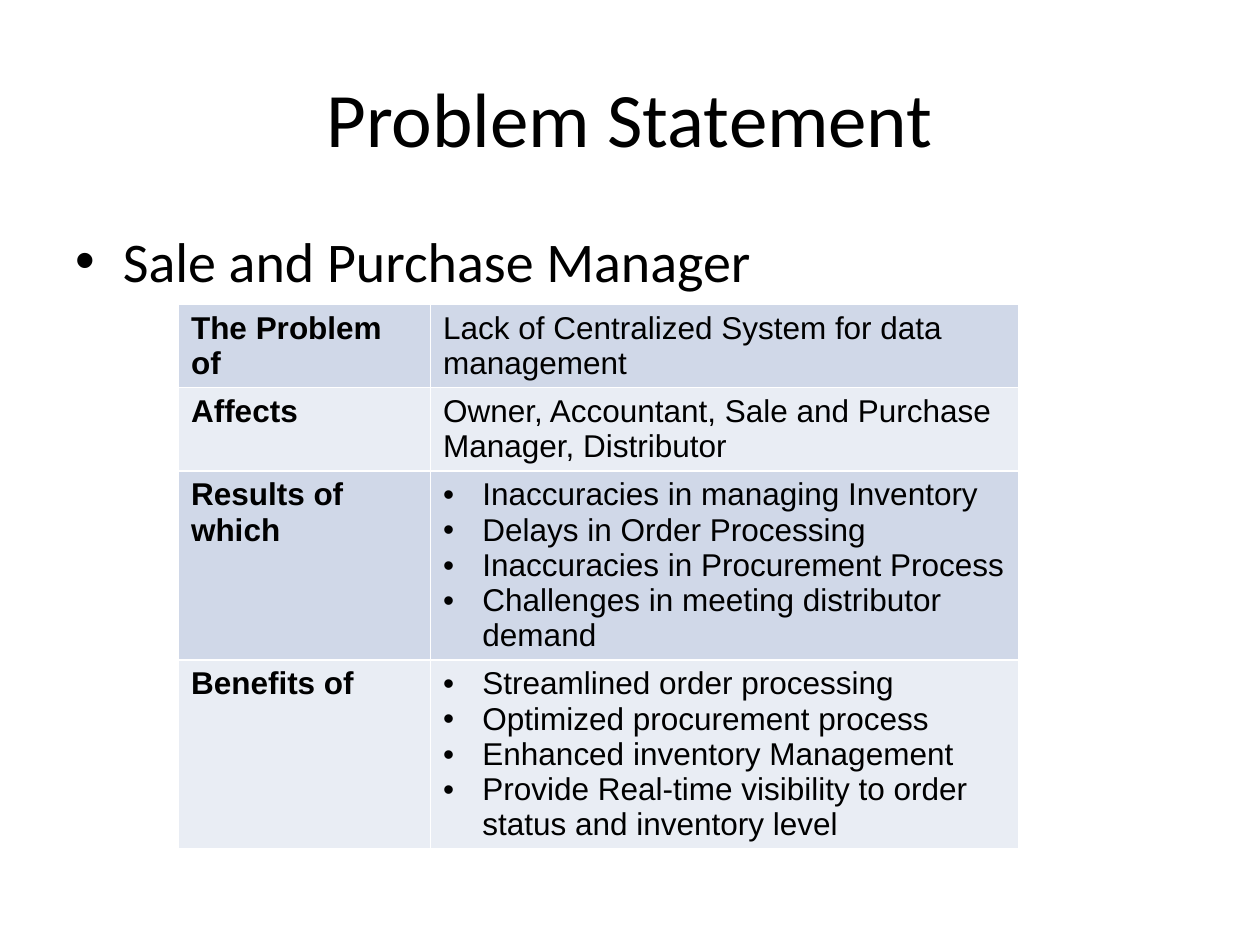
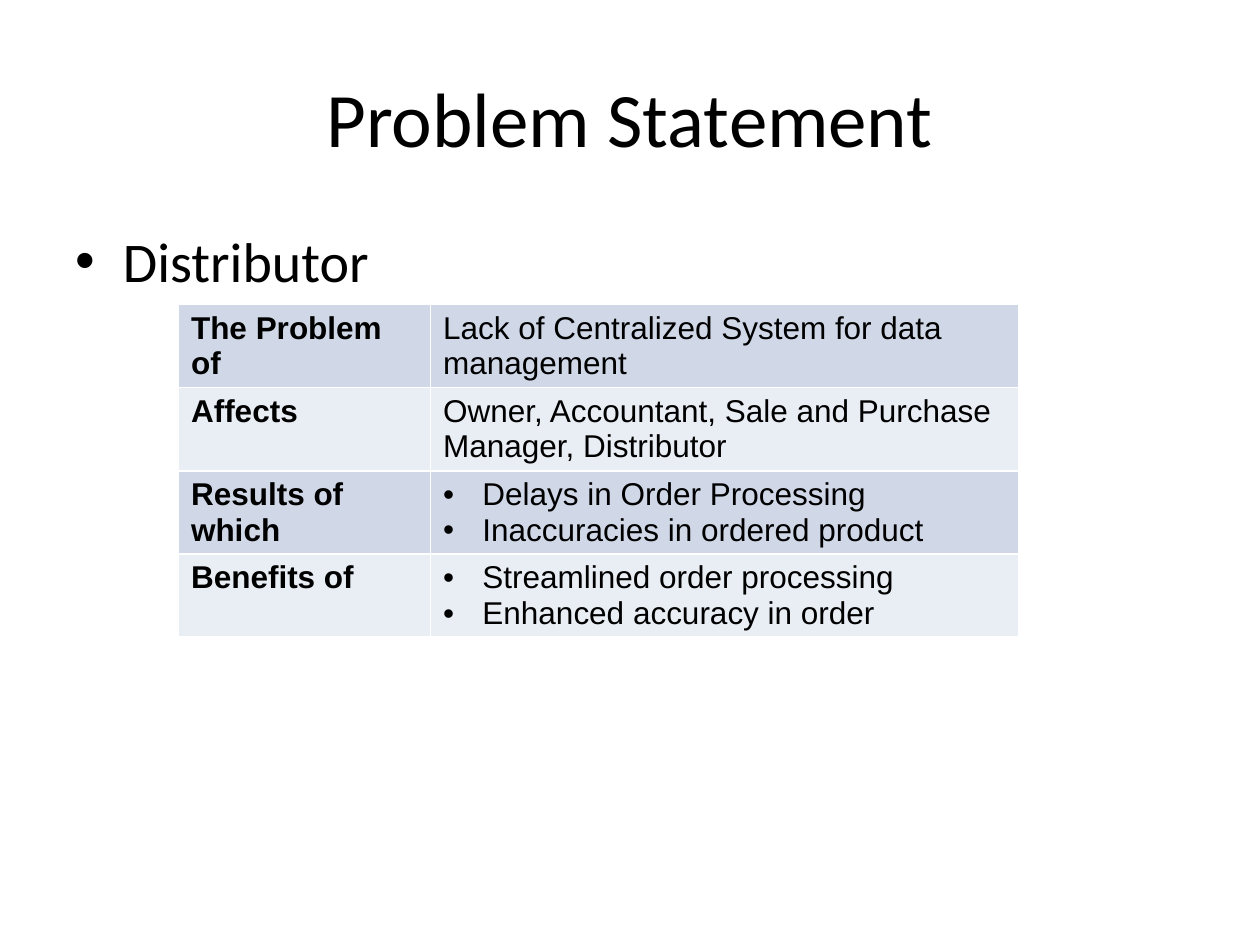
from dataclasses import dataclass

from lxml import etree
from pptx import Presentation
from pptx.dml.color import RGBColor
from pptx.enum.text import MSO_ANCHOR, PP_ALIGN
from pptx.oxml.ns import qn
from pptx.util import Pt

CENTER = PP_ALIGN.CENTER
LEFT = PP_ALIGN.LEFT
MIDDLE = MSO_ANCHOR.MIDDLE
TOP = MSO_ANCHOR.TOP

BLACK = "000000"
WHITE = "FFFFFF"
ROW_BANDS = ("D0D8E8", "E9EDF4")
HEADING_FONT = "Calibri"
TABLE_FONT = "Arial"

TABLE_LEFT, TABLE_TOP = Pt(102), Pt(174)
COLUMN_WIDTHS = (Pt(144), Pt(336))
ROW_HEIGHT = Pt(29.2)
BULLET_INDENT = Pt(22.5)
BORDER_WIDTH = Pt(1)


@dataclass(frozen=True)
class TextStyle:
    font: str
    size: float
    bold: bool = False


TITLE_STYLE = TextStyle(HEADING_FONT, 44)
ROLE_STYLE = TextStyle(HEADING_FONT, 32)
LABEL_STYLE = TextStyle(TABLE_FONT, 18, bold=True)
ENTRY_STYLE = TextStyle(TABLE_FONT, 18)


@dataclass(frozen=True)
class ProblemStatement:
    role: str
    results: tuple[str, ...]
    benefits: tuple[str, ...]
    table_height: float
    problem: str = "Lack of Centralized System for data management"
    affects: str = "Owner, Accountant, Sale and Purchase Manager, Distributor"

    def rows(self) -> list[tuple[str, tuple[str, ...]]]:
        return [
            ("The Problem of", (self.problem,)),
            ("Affects", (self.affects,)),
            ("Results of which", self.results),
            ("Benefits of", self.benefits),
        ]


STATEMENTS = (
    ProblemStatement(
        role="Sale and Purchase Manager",
        results=(
            "Inaccuracies in managing Inventory",
            "Delays in Order Processing",
            "Inaccuracies in Procurement Process",
            "Challenges in meeting distributor demand",
        ),
        benefits=(
            "Streamlined order processing",
            "Optimized procurement process",
            "Enhanced inventory Management",
            "Provide Real-time visibility to order status and inventory level",
        ),
        table_height=331.2,
    ),
    ProblemStatement(
        role="Distributor",
        results=("Delays in Order Processing", "Inaccuracies in ordered product"),
        benefits=("Streamlined order processing", "Enhanced accuracy in order"),
        table_height=201.6,
    ),
)


def color(hex_value: str) -> RGBColor:
    return RGBColor.from_string(hex_value)


def add_run(paragraph, text: str, style: TextStyle) -> None:
    run = paragraph.add_run()
    run.text = text
    run.font.name = style.font
    run.font.size = Pt(style.size)
    run.font.bold = style.bold
    run.font.color.rgb = color(BLACK)


def add_bullet(paragraph, indent: int) -> None:
    """Give the paragraph a round bullet with a hanging indent."""
    properties = paragraph._p.get_or_add_pPr()
    properties.set("marL", str(indent))
    properties.set("indent", str(-indent))
    etree.SubElement(properties, qn("a:buFont")).set("typeface", "Arial")
    etree.SubElement(properties, qn("a:buChar")).set("char", "•")


def add_borders(cell) -> None:
    properties = cell._tc.get_or_add_tcPr()
    for side in ("lnL", "lnR", "lnT", "lnB"):
        line = etree.SubElement(properties, qn(f"a:{side}"))
        line.set("w", str(BORDER_WIDTH))
        fill = etree.SubElement(line, qn("a:solidFill"))
        etree.SubElement(fill, qn("a:srgbClr")).set("val", WHITE)


def fill_cell(cell, lines: tuple[str, ...], style: TextStyle, band: str) -> None:
    """Write the lines, bulleted when there are several, on a banded cell."""
    add_borders(cell)
    cell.fill.solid()
    cell.fill.fore_color.rgb = color(band)
    frame = cell.text_frame
    for index, line in enumerate(lines):
        paragraph = frame.add_paragraph() if index else frame.paragraphs[0]
        if len(lines) > 1:
            add_bullet(paragraph, BULLET_INDENT)
        add_run(paragraph, line, style)


def place_text(placeholder, top: float, height: float, anchor, alignment):
    """Position a placeholder and return its first paragraph."""
    placeholder.left, placeholder.top = Pt(36), Pt(top)
    placeholder.width, placeholder.height = Pt(648), Pt(height)
    placeholder.text_frame.vertical_anchor = anchor
    paragraph = placeholder.text_frame.paragraphs[0]
    paragraph.alignment = alignment
    return paragraph


def add_statement_table(slide, statement: ProblemStatement) -> None:
    rows = statement.rows()
    frame = slide.shapes.add_table(
        len(rows), len(COLUMN_WIDTHS), TABLE_LEFT, TABLE_TOP,
        sum(COLUMN_WIDTHS), ROW_HEIGHT * len(rows),
    )
    table = frame.table
    table.first_row = False
    for column, width in zip(table.columns, COLUMN_WIDTHS):
        column.width = width
    for index, (label, entries) in enumerate(rows):
        band = ROW_BANDS[index % len(ROW_BANDS)]
        fill_cell(table.cell(index, 0), (label,), LABEL_STYLE, band)
        fill_cell(table.cell(index, 1), entries, ENTRY_STYLE, band)
    frame.height = Pt(statement.table_height)


def add_statement_slide(presentation, statement: ProblemStatement) -> None:
    slide = presentation.slides.add_slide(presentation.slide_layouts[1])
    title = place_text(slide.shapes.title, 21.6, 90, MIDDLE, CENTER)
    add_run(title, "Problem Statement", TITLE_STYLE)
    role = place_text(slide.placeholders[1], 126, 356.4, TOP, LEFT)
    add_bullet(role, Pt(27))
    add_run(role, statement.role, ROLE_STYLE)
    add_statement_table(slide, statement)


def main() -> None:
    presentation = Presentation()
    presentation.slide_width, presentation.slide_height = Pt(720), Pt(540)
    for statement in STATEMENTS:
        add_statement_slide(presentation, statement)
    presentation.save("out.pptx")


if __name__ == "__main__":
    main()
